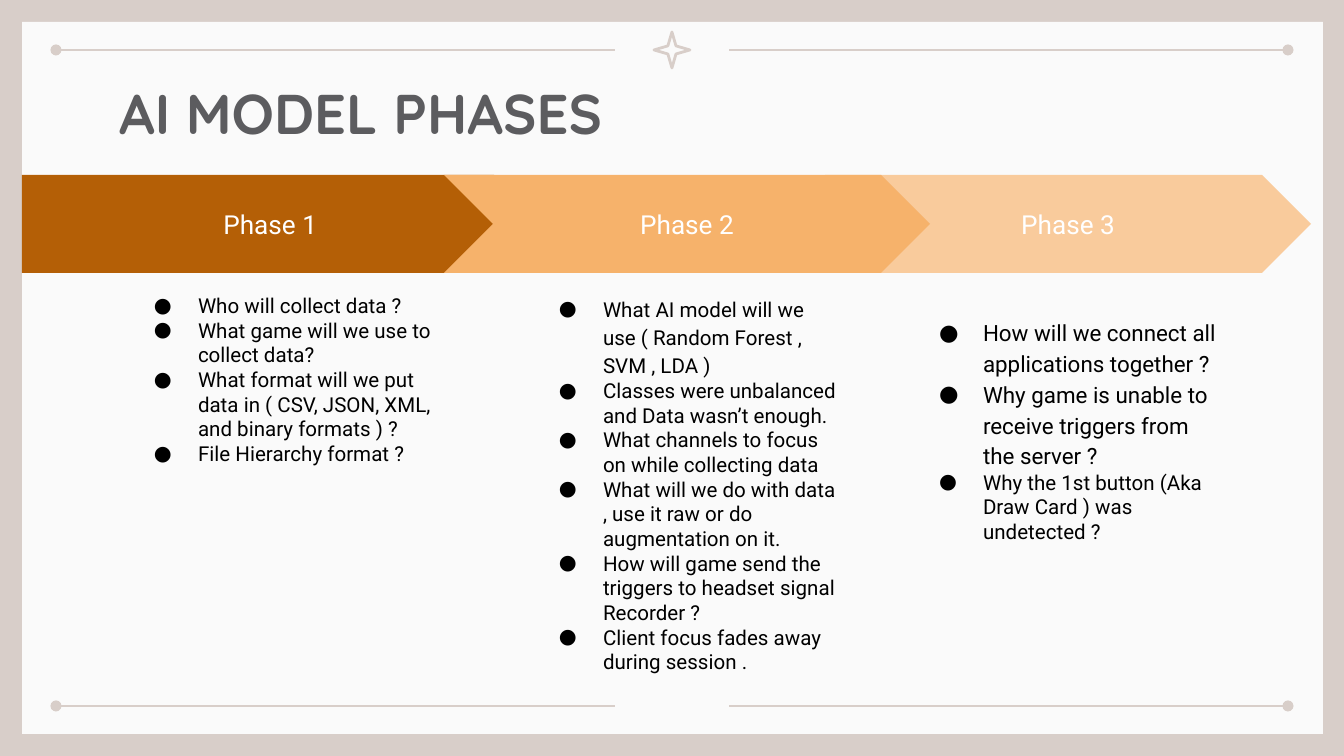
import pptx
import pptx.dml.color
import pptx.enum.shapes
import pptx.enum.text
import pptx.oxml
import pptx.oxml.ns
import pptx.util

RGBColor = pptx.dml.color.RGBColor
Shape = pptx.enum.shapes.MSO_SHAPE
Anchor = pptx.enum.text.MSO_ANCHOR
Align = pptx.enum.text.PP_ALIGN

EMU_PER_PX = 914400 / 134.4
WIDTH, HEIGHT = 1344, 756
COMPARISON_LAYOUT = 4

FRAME = RGBColor(0xD8, 0xCE, 0xC9)
PANEL = RGBColor(0xFA, 0xFA, 0xFA)
TITLE = RGBColor(0x5C, 0x5C, 0x5F)
BLACK = RGBColor(0, 0, 0)
WHITE = RGBColor(0xFF, 0xFF, 0xFF)
BROWN = RGBColor(0xB4, 0x5F, 0x06)
ORANGE = RGBColor(0xF6, 0xB2, 0x6B)
PEACH = RGBColor(0xF9, 0xCB, 0x9C)

PHASES = [
    ("Phase 3", Shape.CHEVRON, PEACH, (825, 486), (903, 302, 329, 384), [
        ("How will we connect all applications together ?", 12, 1.15),
        ("Why game is unable to receive triggers from the server ?", 12, 1.15),
        ("Why the 1st button (Aka Draw Card ) was undetected ?", 11, 1.0),
    ]),
    ("Phase 1", Shape.PENTAGON, BROWN, (22, 521), (118, 280, 329, 384), [
        ("Who will collect data ?", 11, 1.0),
        ("What game will we use to collect data?", 11, 1.0),
        ("What format will we put data in ( CSV, JSON, XML, and binary formats ) ?", 11, 1.0),
        ("File Hierarchy format ?", 11, 1.0),
    ]),
    ("Phase 2", Shape.CHEVRON, ORANGE, (444, 486), (523, 280, 329, 441), [
        ("What AI model will we use ( Random Forest , SVM , LDA )", 11, 1.15),
        ("Classes were unbalanced and Data wasn’t enough.", 11, 1.0),
        ("What channels to focus on while collecting data", 11, 1.0),
        ("What will we do with data , use it raw or do augmentation on it.", 11, 1.0),
        ("How will game send the triggers to headset signal Recorder ?", 11, 1.0),
        ("Client focus fades away during session .", 11, 1.0),
    ]),
]


def px(length):
    return pptx.util.Emu(round(length * EMU_PER_PX))


def add_xml(parent, tag, **attributes):
    element = pptx.oxml.ns.qn(tag)
    child = parent.makeelement(element, attributes)
    parent.append(child)
    return child


def write_text(paragraph, text, size=11, font="Roboto", color=BLACK, bold=False,
               align=Align.LEFT, spacing=1.0):
    paragraph.alignment = align
    paragraph.line_spacing = spacing
    paragraph.space_before = paragraph.space_after = pptx.util.Pt(0)
    run = paragraph.add_run()
    run.text = text
    run.font.size = pptx.util.Pt(size)
    run.font.name = font
    run.font.bold = bold
    run.font.color.rgb = color


class SlideBuilder:
    inset = 13
    line_width = 1.5

    def __init__(self, slide):
        self.slide = slide
        fill = slide.background.fill
        fill.solid()
        fill.fore_color.rgb = FRAME

    def frame(self, shape, anchor):
        frame = shape.text_frame
        frame.word_wrap = True
        frame.auto_size = pptx.enum.text.MSO_AUTO_SIZE.NONE
        frame.vertical_anchor = anchor
        frame.margin_left = frame.margin_right = px(self.inset)
        frame.margin_top = frame.margin_bottom = px(self.inset)
        return frame

    def shape(self, kind, box, fill=None, line=None, adjustment=None):
        shape = self.slide.shapes.add_shape(kind, *map(px, box))
        shape.shadow.inherit = False
        if fill is None:
            shape.fill.background()
        else:
            shape.fill.solid()
            shape.fill.fore_color.rgb = fill
        if line is None:
            shape.line.fill.background()
        else:
            shape.line.color.rgb = line
            shape.line.width = pptx.util.Pt(self.line_width)
        if adjustment is not None:
            shape.adjustments[0] = adjustment
        return shape

    def rule(self, outer, inner, y):
        line = self.slide.shapes.add_connector(
            pptx.enum.shapes.MSO_CONNECTOR.STRAIGHT, px(outer), px(y), px(inner), px(y))
        line.line.color.rgb = FRAME
        line.line.width = pptx.util.Pt(self.line_width)
        add_xml(line.line._get_or_add_ln(), "a:headEnd", type="oval")
        add_xml(line.element.spPr, "a:effectLst")

    def placeholder(self, index, box):
        shape = next(item for item in self.slide.placeholders
                     if item.placeholder_format.idx == index)
        shape.left, shape.top, shape.width, shape.height = map(px, box)
        shape.element.getparent().append(shape.element)
        return self.frame(shape, Anchor.TOP)

    def title(self, text, box):
        frame = self.placeholder(0, box)
        write_text(frame.paragraphs[0], text, size=30, font="Quicksand",
                   color=TITLE, bold=True)

    def phase(self, text, kind, fill, box):
        shape = self.shape(kind, box, fill=fill, adjustment=0.5)
        frame = self.frame(shape, Anchor.MIDDLE)
        write_text(frame.paragraphs[0], text, size=14, color=WHITE, align=Align.CENTER)

    def bullets(self, index, box, items):
        frame = self.placeholder(index, box)
        for number, (text, size, spacing) in enumerate(items):
            paragraph = frame.add_paragraph() if number else frame.paragraphs[0]
            properties = paragraph._p.get_or_add_pPr()
            properties.set("marL", str(px(67)))
            properties.set("indent", str(px(-44)))
            color = add_xml(properties, "a:buClr")
            add_xml(color, "a:srgbClr", val=str(BLACK))
            add_xml(properties, "a:buFont", typeface="Roboto")
            add_xml(properties, "a:buChar", char="●")
            write_text(paragraph, text, size=size, spacing=spacing)

    def remove_empty_placeholders(self):
        for shape in list(self.slide.placeholders):
            if not shape.text_frame.text:
                shape.element.getparent().remove(shape.element)


def main():
    presentation = pptx.Presentation()
    presentation.slide_width, presentation.slide_height = px(WIDTH), px(HEIGHT)
    layout = presentation.slide_layouts[COMPARISON_LAYOUT]
    builder = SlideBuilder(presentation.slides.add_slide(layout))

    builder.shape(Shape.RECTANGLE, (22, 22, 1301, 712), fill=PANEL)
    for y in (50, 706):
        for outer, inner in ((56, 615), (WIDTH - 56, WIDTH - 615)):
            builder.rule(outer, inner, y)
    builder.shape(Shape.STAR_4_POINT, (654, 32, 36, 36), line=FRAME, adjustment=0.16)

    builder.title("AI MODEL PHASES", (106, 66, 1133, 85))
    for index, (name, kind, fill, (left, width), box, items) in enumerate(PHASES, start=1):
        builder.phase(name, kind, fill, (left, 175, width, 98))
        builder.bullets(index, box, items)
    builder.remove_empty_placeholders()

    presentation.save("out.pptx")


if __name__ == "__main__":
    main()
